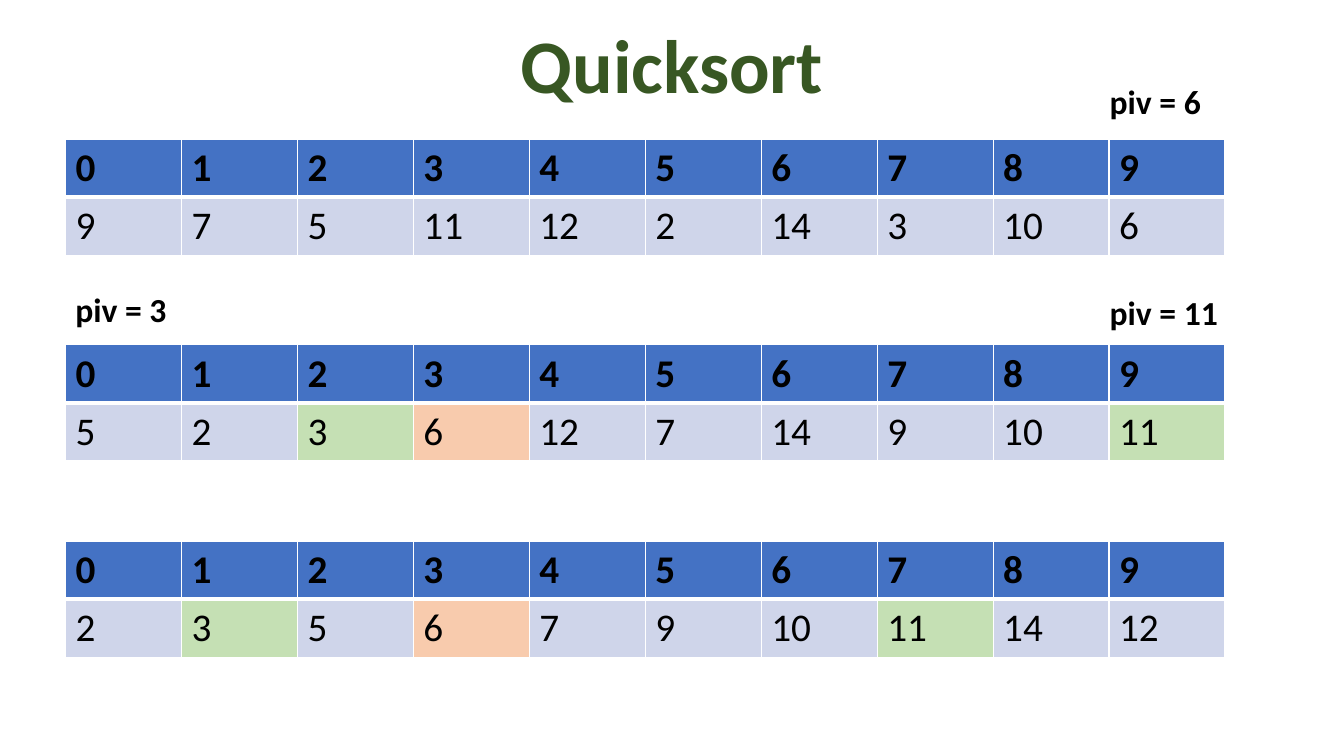
"""Build a slide that shows three stages of quicksort."""
from dataclasses import dataclass
from typing import NamedTuple

from pptx import Presentation, util as u
from pptx.dml.color import RGBColor
from pptx.enum import text
from pptx.oxml.ns import qn
from lxml import etree


@dataclass(frozen=True)
class Theme:
    """Colours, font and type sizes of the slide."""
    font: str = "Calibri"
    title: str = "385723"
    ink: str = "000000"
    header: str = "4472C4"
    cell: str = "CFD5EA"
    sub_pivot: str = "C5E0B4"
    pivot: str = "F8CBAD"
    border: str = "FFFFFF"
    title_size: int = 54
    cell_size: int = 28
    label_size: int = 24
    thin: int = 1
    thick: int = 3


class Box(NamedTuple):
    """Place in grid columns (from the left margin) and grid rows."""
    column: float
    row: float
    columns: float
    rows: float


class Stage(NamedTuple):
    """Array contents after one partition, with coloured indices."""
    row: float
    values: tuple[int, ...]
    fills: dict[int, str]


class PivotLabel(NamedTuple):
    """Pivot value and the place of its label."""
    value: int
    box: Box


THEME = Theme()
MARGIN, COLUMN, ROW = u.Inches(0.65), u.Inches(1.15), u.Inches(0.57)
COUNT = 10

STAGES = (
    Stage(2.42, (9, 7, 5, 11, 12, 2, 14, 3, 10, 6), {}),
    Stage(6, (5, 2, 3, 6, 12, 7, 14, 9, 10, 11),
          {2: THEME.sub_pivot, 3: THEME.pivot, 9: THEME.sub_pivot}),
    Stage(9.42, (2, 3, 5, 6, 7, 9, 10, 11, 14, 12),
          {1: THEME.sub_pivot, 3: THEME.pivot, 7: THEME.sub_pivot}),
)
LABELS = (
    PivotLabel(6, Box(8.92, 1.32, 1.03, 0.88)),
    PivotLabel(3, Box(0, 4.95, 1.34, 0.88)),
    PivotLabel(11, Box(8.92, 5, 1.31, 0.88)),
)
TITLE_BOX = Box(0.23, 0.33, COUNT, 1.75)


def place(box: Box) -> tuple[int, int, int, int]:
    """Turn a grid box into left, top, width and height."""
    return (MARGIN + round(box.column * COLUMN), round(box.row * ROW),
            round(box.columns * COLUMN), round(box.rows * ROW))


def add_run(paragraph, words: str, size: int, color: str, bold: bool) -> None:
    """Add one formatted run to a paragraph."""
    run = paragraph.add_run()
    run.text = words
    run.font.name = THEME.font
    run.font.size = u.Pt(size)
    run.font.bold = bold
    run.font.color.rgb = RGBColor.from_string(color)


def add_borders(cell, top: int, bottom: int) -> None:
    """Draw the four borders of a cell, widths in points."""
    properties = cell._tc.get_or_add_tcPr()
    widths = {"a:lnL": THEME.thin, "a:lnR": THEME.thin, "a:lnT": top, "a:lnB": bottom}
    for tag, width in widths.items():
        line = etree.SubElement(properties, qn(tag), w=str(u.Pt(width)))
        fill = etree.SubElement(line, qn("a:solidFill"))
        etree.SubElement(fill, qn("a:srgbClr"), val=THEME.border)


def fill_cell(cell, value: int, color: str, is_header: bool) -> None:
    """Write a value into a cell and style the cell."""
    add_run(cell.text_frame.paragraphs[0], str(value), THEME.cell_size, THEME.ink, is_header)
    if is_header:
        add_borders(cell, THEME.thin, THEME.thick)
    else:
        add_borders(cell, THEME.thick, THEME.thin)
    cell.fill.solid()
    cell.fill.fore_color.rgb = RGBColor.from_string(color)


def add_stage(slide, stage: Stage) -> None:
    """Draw an array as a row of indices above a row of values."""
    box = Box(0, stage.row, COUNT, 2)
    table = slide.shapes.add_table(2, COUNT, *place(box)).table
    table.horz_banding = False
    for index, value in enumerate(stage.values):
        fill_cell(table.cell(0, index), index, THEME.header, True)
        fill_cell(table.cell(1, index), value, stage.fills.get(index, THEME.cell), False)


def add_label(slide, label: PivotLabel) -> None:
    """Write the pivot value above its part of the array."""
    frame = slide.shapes.add_textbox(*place(label.box)).text_frame
    frame.word_wrap = True
    frame.auto_size = text.MSO_AUTO_SIZE.SHAPE_TO_FIT_TEXT
    add_run(frame.paragraphs[0], f"piv = {label.value}", THEME.label_size, THEME.ink, True)


def set_title(slide, words: str) -> None:
    """Move and format the title placeholder."""
    title = slide.shapes.title
    title.left, title.top, title.width, title.height = place(TITLE_BOX)
    frame = title.text_frame
    frame.auto_size = text.MSO_AUTO_SIZE.NONE
    frame.vertical_anchor = text.MSO_ANCHOR.MIDDLE
    paragraph = frame.paragraphs[0]
    paragraph.alignment = text.PP_ALIGN.CENTER
    paragraph.line_spacing = 0.9
    add_run(paragraph, words, THEME.title_size, THEME.title, True)


def main() -> None:
    """Build and save the presentation."""
    presentation = Presentation()
    presentation.slide_width, presentation.slide_height = u.Inches(13.33), u.Inches(7.5)
    slide = presentation.slides.add_slide(presentation.slide_layouts.get_by_name("Title Only"))
    set_title(slide, "Quicksort")
    for stage in STAGES:
        add_stage(slide, stage)
    for label in LABELS:
        add_label(slide, label)
    presentation.save("out.pptx")


main()
